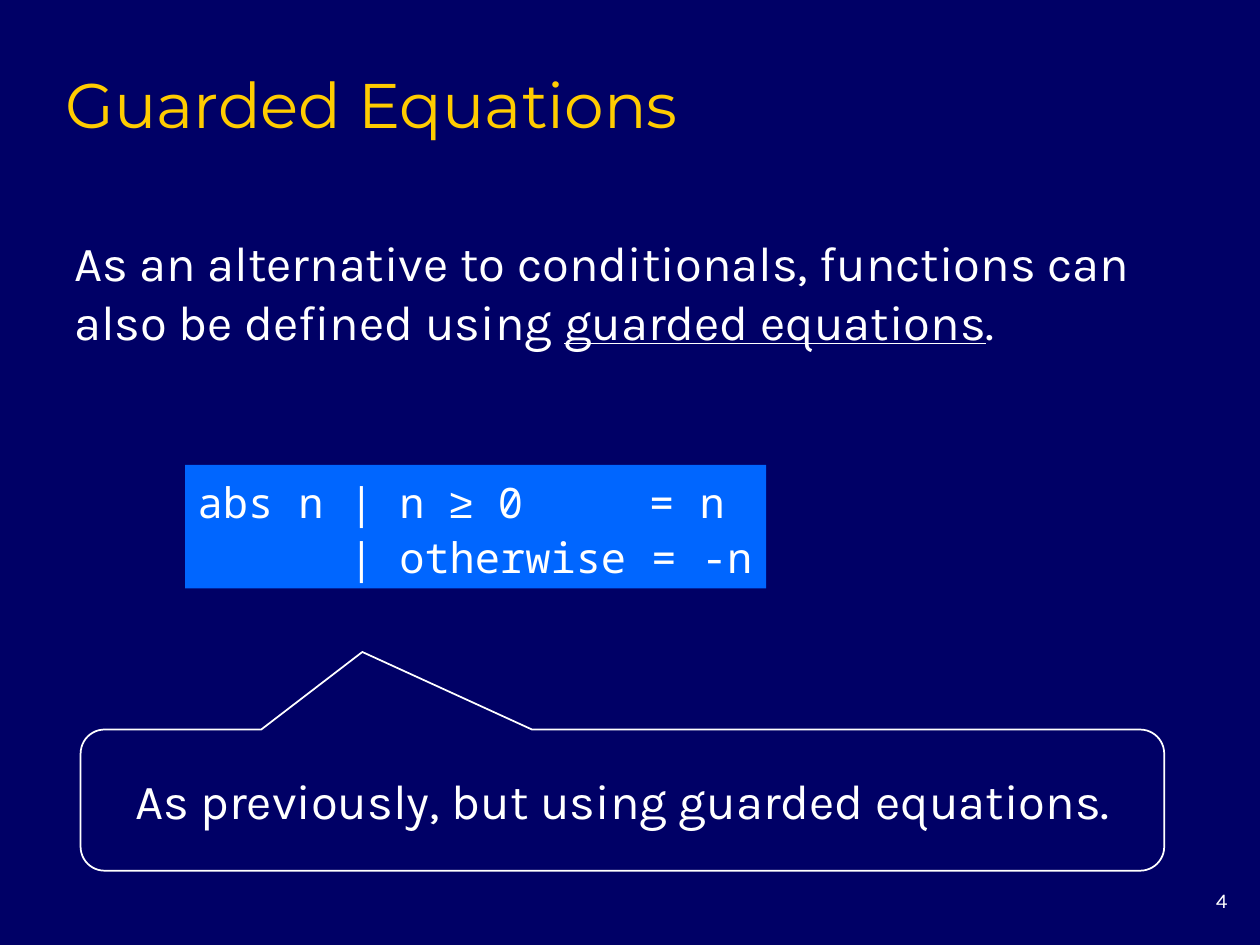
from dataclasses import dataclass
from typing import NamedTuple, Optional

from pptx import Presentation
from pptx.dml.color import RGBColor
from pptx.enum.shapes import MSO_SHAPE
from pptx.enum.text import MSO_ANCHOR, MSO_AUTO_SIZE, PP_ALIGN
from pptx.util import Inches, Pt


@dataclass(frozen=True)
class Theme:
    background: RGBColor = RGBColor(0x00, 0x00, 0x66)
    accent: RGBColor = RGBColor(0xFF, 0xCC, 0x00)
    text: RGBColor = RGBColor(0xFF, 0xFF, 0xFF)
    code_fill: RGBColor = RGBColor(0x00, 0x66, 0xFF)
    heading_font: str = "Montserrat"
    body_font: str = "Karla"
    code_font: str = "Noto Sans Mono"
    symbol_font: str = "Arial"
    title_size: float = 36
    body_size: float = 28
    code_size: float = 24
    number_size: float = 11.9


class Box(NamedTuple):
    left: float
    top: float
    width: float
    height: float

    def lengths(self) -> list:
        return [Inches(value) for value in self]


class Span(NamedTuple):
    text: str
    underline: Optional[bool] = None
    font: Optional[str] = None


THEME = Theme()


def write(shape, lines: list[list[Span]], *, size: float, font: str = THEME.body_font,
          color: RGBColor = THEME.text, align=PP_ALIGN.LEFT, anchor=MSO_ANCHOR.MIDDLE,
          spacing: float = 1.0, wrap: bool = True) -> None:
    """Fill a shape with one paragraph per line; a span may override the font."""
    frame = shape.text_frame
    frame.auto_size = MSO_AUTO_SIZE.NONE
    frame.word_wrap = wrap
    frame.vertical_anchor = anchor
    for index, line in enumerate(lines):
        paragraph = frame.add_paragraph() if index else frame.paragraphs[0]
        paragraph.alignment = align
        paragraph.line_spacing = spacing
        for span in line:
            run = paragraph.add_run()
            run.text = span.text
            run.font.name = span.font or font
            run.font.size = Pt(size)
            run.font.color.rgb = color
            run.font.underline = span.underline


def add_panel(slide, kind: MSO_SHAPE, box: Box, *, fill: Optional[RGBColor] = None,
              line: Optional[RGBColor] = None):
    panel = slide.shapes.add_shape(kind, *box.lengths())
    panel.shadow.inherit = False
    if fill is None:
        panel.fill.background()
    else:
        panel.fill.solid()
        panel.fill.fore_color.rgb = fill
    if line is None:
        panel.line.fill.background()
    else:
        panel.line.color.rgb = line
        panel.line.width = Pt(1)
    return panel


def main() -> None:
    deck = Presentation()
    deck.slide_width, deck.slide_height = Inches(10), Inches(7.5)
    slide = deck.slides.add_slide(deck.slide_layouts[5])
    slide.background.fill.solid()
    slide.background.fill.fore_color.rgb = THEME.background

    page_number = slide.shapes.add_textbox(*Box(9.17, 7, 0.67, 0.33).lengths())
    write(page_number, [[Span("4")]], size=THEME.number_size,
          align=PP_ALIGN.RIGHT, anchor=MSO_ANCHOR.TOP)

    title = slide.shapes.title
    title.left, title.top, title.width, title.height = Box(0.42, 0.42, 8.5, 0.75).lengths()
    write(title, [[Span("Guarded Equations")]], size=THEME.title_size,
          font=THEME.heading_font, color=THEME.accent, anchor=MSO_ANCHOR.BOTTOM)

    introduction = slide.shapes.add_textbox(*Box(0.49, 1.79, 9.04, 1.04).lengths())
    write(introduction, [[
        Span("As an alternative to conditionals, functions can also be defined using "),
        Span("guarded equations", underline=True),
        Span("."),
    ]], size=THEME.body_size)

    code = add_panel(slide, MSO_SHAPE.RECTANGLE, Box(1.47, 3.69, 4.61, 0.98),
                     fill=THEME.code_fill)
    write(code, [
        [Span("abs n | n "), Span("≥", font=THEME.symbol_font), Span(" 0     = n")],
        [Span("      | otherwise = -n")],
    ], size=THEME.code_size, font=THEME.code_font, spacing=1.1, wrap=False)

    remark = add_panel(slide, MSO_SHAPE.ROUNDED_RECTANGULAR_CALLOUT,
                       Box(0.64, 5.79, 8.6, 1.12), line=THEME.text)
    for index, value in enumerate((-0.24, -1.05, 0.17)):
        remark.adjustments[index] = value
    write(remark, [[Span("As previously, but using guarded equations.")]],
          size=THEME.body_size, align=PP_ALIGN.CENTER)

    deck.save("out.pptx")


if __name__ == "__main__":
    main()
